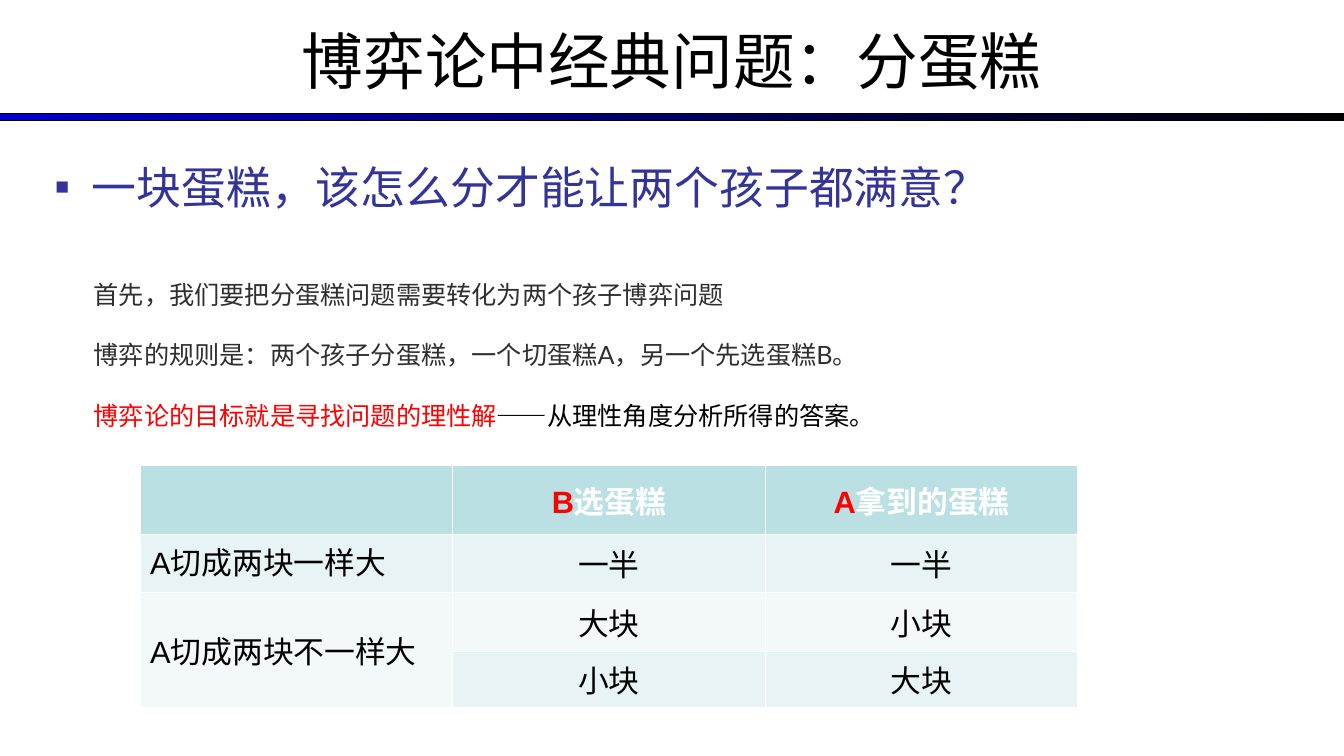
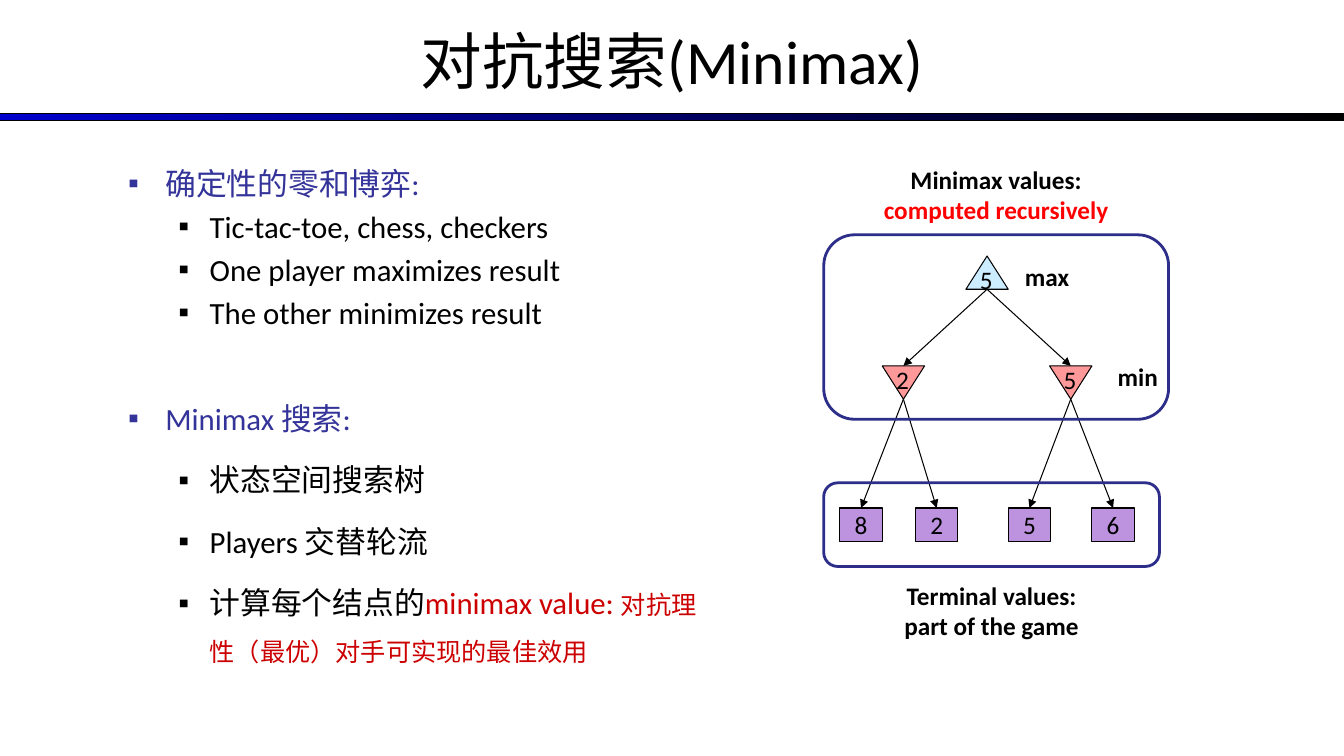
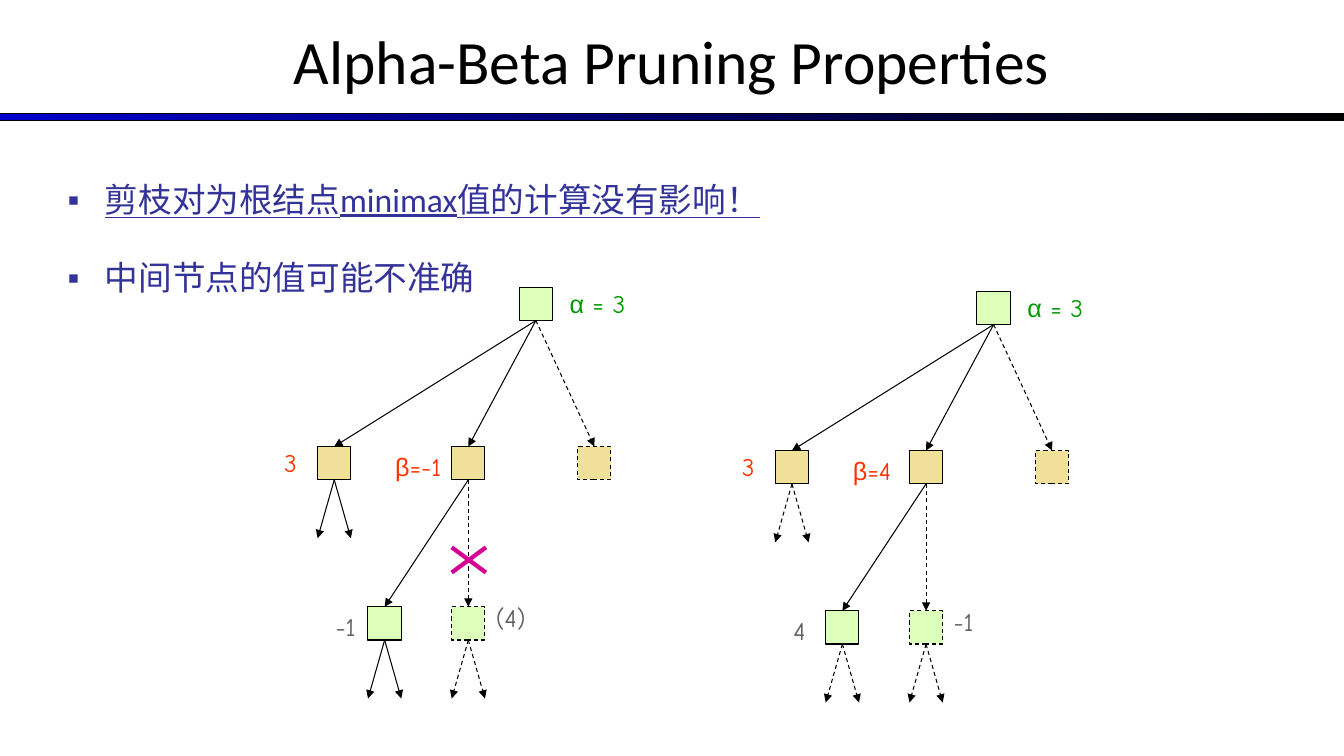
import pptx
import pptx.dml.color
import pptx.enum.dml
import pptx.enum.shapes
import pptx.enum.text
import pptx.oxml.ns
import pptx.util
from lxml import etree
from pptx.util import Inches

COLORS = {
    "black": "000000", "white": "FFFFFF", "blue": "0000CC", "indigo": "333399",
    "frame": "2D2D8A", "red": "FF0000", "dark_red": "CC0000", "charcoal": "2F2F2F",
    "max": "CCECFF", "min": "FF9999", "terminal": "BD92DE",
    "header": "BBE0E3", "band_dark": "E7F3F4", "band_light": "F3F9FA",
    "green_node": "DCFFB9", "tan_node": "F0E09A", "alpha": "009900",
    "beta": "FF3300", "gray": "5F5F5F", "cross": "D60093",
}
SHAPE = pptx.enum.shapes.MSO_SHAPE
ALIGN = pptx.enum.text.PP_ALIGN
MIDDLE = pptx.enum.text.MSO_ANCHOR.MIDDLE
NODE = 0.33


def rgb(name):
    return pptx.dml.color.RGBColor.from_string(COLORS[name])


def add_xml(parent, tag, **attributes):
    return etree.SubElement(parent, pptx.oxml.ns.qn(tag), attributes)


def write(para, spans, size, font="Calibri", bold=False, underline=False):
    """Fill a paragraph with spans: (text, colour[, size or font override])."""
    for text, color, *override in spans:
        span = para.add_run()
        span.text = text
        span.font.size = pptx.util.Pt(size)
        span.font.name = font
        span.font.bold = bold
        span.font.underline = underline
        span.font.color.rgb = rgb(color)
        for value in override:
            if isinstance(value, str):
                span.font.name = value
            else:
                span.font.size = pptx.util.Pt(value)


def add_band(slide, layout):
    """Draw the gradient rule and move it to the layout that all slides share."""
    band = slide.shapes.add_shape(SHAPE.RECTANGLE, 0, Inches(1.13), Inches(13.33), Inches(0.07))
    band.shadow.inherit = False
    band.fill.gradient()
    band.fill.gradient_angle = 0
    for stop, color in zip(band.fill.gradient_stops, ("blue", "black")):
        stop.color.rgb = rgb(color)
    band.line.color.rgb = rgb("black")
    band.line.width = pptx.util.Pt(0.75)
    layout.shapes.element.append(band.element) if hasattr(layout.shapes, "element") \
        else layout.element.cSld.spTree.append(band.element)


def add_slide(deck, title, left, top, width, height):
    """Add a titled slide; the four lengths place its body."""
    slide = deck.slides.add_slide(deck.slide_layouts[1])
    heading, body = slide.shapes.title, slide.placeholders[1]
    place(heading, 0, 0, 13.33, 1.19)
    place(body, left, top, width, height)
    for holder in (heading, body):
        holder.text_frame.auto_size = pptx.enum.text.MSO_AUTO_SIZE.NONE
    heading.text_frame.vertical_anchor = MIDDLE
    para = heading.text_frame.paragraphs[0]
    para.alignment = ALIGN.CENTER
    write(para, [(title, "black")], 44)
    return slide


def place(shape, left, top, width, height):
    shape.left, shape.top = Inches(left), Inches(top)
    shape.width, shape.height = Inches(width), Inches(height)


def add_bullet(slide, spans, size, level=0, spacing=1, before=None, underline=False):
    frame = slide.placeholders[1].text_frame
    para = frame.paragraphs[0] if not frame.text else frame.add_paragraph()
    para.level = level
    para.line_spacing = spacing
    if before:
        para.space_before = pptx.util.Pt(before)
    write(para, spans, size, underline=underline)
    margin, hanging = ((0.37, 0.37), (0.81, 0.31))[level]
    props = para._p.get_or_add_pPr()
    props.set("marL", str(Inches(margin)))
    props.set("indent", str(-Inches(hanging)))
    bullet_color = add_xml(props, "a:buClr")
    add_xml(bullet_color, "a:srgbClr", val=COLORS[spans[0][1]])
    add_xml(props, "a:buFont", typeface="Arial")
    add_xml(props, "a:buChar", char="▪")


def add_text(slide, left, top, width, height, lines, size=18, font="Calibri",
             bold=False, align=ALIGN.LEFT, wrap=True, spacing=1):
    """Add a text box; each line is a list of spans."""
    frame = slide.shapes.add_textbox(
        Inches(left), Inches(top), Inches(width), Inches(height)).text_frame
    frame.word_wrap = wrap
    for index, spans in enumerate(lines):
        para = frame.add_paragraph() if index else frame.paragraphs[0]
        para.alignment = align
        para.line_spacing = spacing
        write(para, spans, size, font, bold)


def add_box(slide, kind, left, top, width, height, fill=None, line="black",
            weight=0.75, dashed=False, text=None):
    box = slide.shapes.add_shape(
        kind, Inches(left), Inches(top), Inches(width), Inches(height))
    box.shadow.inherit = False
    if fill:
        box.fill.solid()
        box.fill.fore_color.rgb = rgb(fill)
    else:
        box.fill.background()
    format_line(box.line, line, weight, dashed)
    if text:
        frame = box.text_frame
        frame.word_wrap = False
        frame.vertical_anchor = MIDDLE
        frame.paragraphs[0].alignment = ALIGN.CENTER
        write(frame.paragraphs[0], [(text, "black")], 18)
    return box


def format_line(line, color, weight, dashed):
    line.color.rgb = rgb(color)
    line.width = pptx.util.Pt(weight)
    if dashed:
        line.dash_style = pptx.enum.dml.MSO_LINE.DASH


def add_line(slide, start, end, color="black", weight=0.75, dashed=False, arrow=True):
    """Join two ends, each a point or a rectangle (from its bottom, to its top)."""
    begin = (0, 0) if hasattr(start, "shape_id") else start
    finish = (0, 0) if hasattr(end, "shape_id") else end
    line = slide.shapes.add_connector(
        pptx.enum.shapes.MSO_CONNECTOR.STRAIGHT,
        *(Inches(value) for value in (*begin, *finish)))
    if begin is not start:
        line.begin_connect(start, 2)
    if finish is not end:
        line.end_connect(end, 0)
    format_line(line.line, color, weight, dashed)
    if arrow:
        add_xml(line.line._get_or_add_ln(), "a:tailEnd", type="triangle")
    add_xml(line.element.spPr, "a:effectLst")


def add_choice_table(slide):
    rows = [
        ([], [("B", "red"), ("选蛋糕", "white")], [("A", "red"), ("拿到的蛋糕", "white")]),
        ([("A切成两块一样大", "black")], [("一半", "black")], [("一半", "black")]),
        ([("A切成两块不一样大", "black")], [("大块", "black")], [("小块", "black")]),
        ([], [("小块", "black")], [("大块", "black")]),
    ]
    fills = ("header", "band_dark", "band_light", "band_dark")
    heights = (0.68, 0.58, 0.58, 0.56)
    table = slide.shapes.add_table(
        4, 3, Inches(1.39), Inches(4.62), Inches(9.3), Inches(sum(heights))).table
    for row, (cells, fill, height) in enumerate(zip(rows, fills, heights)):
        table.rows[row].height = Inches(height)
        for column, spans in enumerate(cells):
            cell = table.cell(row, column)
            cell.fill.solid()
            cell.fill.fore_color.rgb = rgb(fill)
            if (row, column) != (1, 0):
                cell.vertical_anchor = MIDDLE
            para = cell.text_frame.paragraphs[0]
            para.alignment = ALIGN.CENTER if column else ALIGN.LEFT
            write(para, spans, 22, "Arial", bold=row == 0)
    table.cell(2, 0).merge(table.cell(3, 0))


def add_minimax_tree(slide):
    width = 0.42
    root = (9.79, 2.54)
    branches = {8.96: ("2", [(8.33, "8"), (9.08, "2")]),
                10.62: ("5", [(10, "5"), (10.83, "6")])}
    add_box(slide, SHAPE.ISOSCELES_TRIANGLE, root[0] - width / 2, root[1], width, NODE, "max")
    add_text(slide, 9.62, 2.57, 0.34, 0.4, [[("5", "black")]], wrap=False)
    for center, (value, leaves) in branches.items():
        triangle = add_box(slide, SHAPE.ISOSCELES_TRIANGLE,
                           center - width / 2, 3.63, width, NODE, "min")
        triangle.rotation = 180
        add_line(slide, (root[0], root[1] + NODE), (center, 3.63))
        add_text(slide, center - 0.17, 3.57, 0.34, 0.4, [[(value, "black")]], wrap=False)
        for left, number in leaves:
            leaf = add_box(slide, SHAPE.RECTANGLE, left, 5.04, width, NODE,
                           "terminal", text=number)
            add_line(slide, (center, 3.96), leaf)
    for left, top, height in ((8.17, 2.33, 1.83), (8.17, 4.79, 0.83)):
        add_box(slide, SHAPE.ROUNDED_RECTANGLE, left, top,
                3.42 if height > 1 else 3.33, height, line="frame", weight=2)
    captions = [
        (10.02, 2.54, 0.73, 0.4, [[("max", "black")]]),
        (10.92, 3.54, 0.73, 0.4, [[("min", "black")]]),
        (8.17, 1.58, 3.42, 0.71,
         [[("Minimax values:", "black")], [("computed recursively", "red")]]),
        (8.17, 5.71, 3.33, 0.71,
         [[("Terminal values:", "black")], [("part of the game", "black")]]),
    ]
    for caption in captions:
        add_text(slide, *caption, bold=True, align=ALIGN.CENTER)


def add_pruning_tree(slide, left, top, beta, first_leaf, second_leaf, stubs_dashed):
    """Draw a search tree; left and top are those of its node grid."""
    def node(x, y, fill, dashed=False):
        return add_box(slide, SHAPE.RECTANGLE, left + x, top + y, NODE, NODE,
                       fill, dashed=dashed)

    root = node(2, 0, "green_node")
    children = [node(x, 1.58, "tan_node", x == 2.58) for x in (0, 1.33, 2.58)]
    leaves = [node(x, 3.17, "green_node", x == 1.33) for x in (0.5, 1.33)]
    for child in children:
        add_line(slide, root, child, dashed=child is children[2])
    for leaf in leaves:
        add_line(slide, children[1], leaf, dashed=leaf is leaves[1])
    for parent, x, y in ((children[0], 0, 1.58), (leaves[0], 0.5, 3.17), (leaves[1], 1.33, 3.17)):
        for side in (0, NODE):
            add_line(slide, parent, (left + x + side, top + y + NODE + 0.58),
                     dashed=stubs_dashed or parent is leaves[1])
    labels = [
        (-0.43, 1.54, 0.35, [("3", "beta")]),
        (2.4, -0.04, 0.79, [("α", "alpha", "Arial"), (" = 3", "alpha")]),
        (0.67, 1.58, 0.68, [("β", "beta", "Arial"), (beta, "beta")]),
        (0.08, 3.17, 0.42, [(first_leaf, "gray")]),
        (1.67, 3.08, 0.54, [(second_leaf, "gray")]),
    ]
    for x, y, width, spans in labels:
        add_text(slide, left + x, top + y, width, 0.4, [spans], font="Comic Neue", wrap=False)


def build_cake_slide(deck):
    slide = add_slide(deck, "博弈论中经典问题：分蛋糕", 0.44, 1.53, 12.44, 5.17)
    add_bullet(slide, [("一块蛋糕，该怎么分才能让两个孩子都满意？", "indigo")], 32)
    add_text(slide, 0.83, 2.42, 10.42, 2.52, [
        [("首先，我们要把分蛋糕问题需要转化为两个孩子博弈问题", "charcoal")],
        [("博弈的规则是：两个孩子分蛋糕，一个切蛋糕A，另一个先选蛋糕B。", "charcoal")],
        [("博弈论的目标就是寻找问题的理性解", "red", "Arial"),
         ("——从理性角度分析所得的答案。", "black", "Arial")],
    ], font="Lato", spacing=2)
    add_choice_table(slide)
    return slide


def build_minimax_slide(deck):
    slide = add_slide(deck, "对抗搜索(Minimax)", 1.17, 1.58, 5.9, 4.95)
    add_bullet(slide, [("确定性的零和博弈:", "indigo")], 22)
    for text in ("Tic-tac-toe, chess, checkers", "One player maximizes result",
                 "The other minimizes result"):
        add_bullet(slide, [(text, "black")], 22, level=1)
    add_bullet(slide, [("Minimax 搜索:", "indigo")], 22, spacing=1.5, before=36)
    for spans in ([("状态空间搜索树", "black")], [("Players 交替轮流", "black")],
                  [("计算每个结点的", "black"), ("minimax value: ", "dark_red"),
                   ("对抗理性（最优）对手可实现的最佳效用", "dark_red", 18)]):
        add_bullet(slide, spans, 22, level=1, spacing=1.5)
    add_minimax_tree(slide)


def build_pruning_slide(deck):
    slide = add_slide(deck, "Alpha-Beta Pruning Properties", 0.57, 1.77, 12.44, 5.17)
    add_bullet(slide, [("剪枝对为根结点minimax值的计算没有影响！", "indigo")], 24,
               spacing=0.9, underline=True)
    add_bullet(slide, [("中间节点的值可能不准确", "indigo")], 24, spacing=0.9, before=30)
    add_pruning_tree(slide, 3.15, 2.85, "=-1", "-1", "(4)", stubs_dashed=False)
    for start, end in ((5.43, 5.68), (5.68, 5.43)):
        add_line(slide, (4.48, start), (4.82, end), "cross", 3, arrow=False)
    add_pruning_tree(slide, 7.69, 2.89, "=4", "4", "-1", stubs_dashed=True)


def main():
    deck = pptx.Presentation()
    deck.slide_width, deck.slide_height = Inches(13.33), Inches(7.5)
    cake_slide = build_cake_slide(deck)
    add_band(cake_slide, deck.slide_layouts[1])
    build_minimax_slide(deck)
    build_pruning_slide(deck)
    deck.save("out.pptx")


if __name__ == "__main__":
    main()
